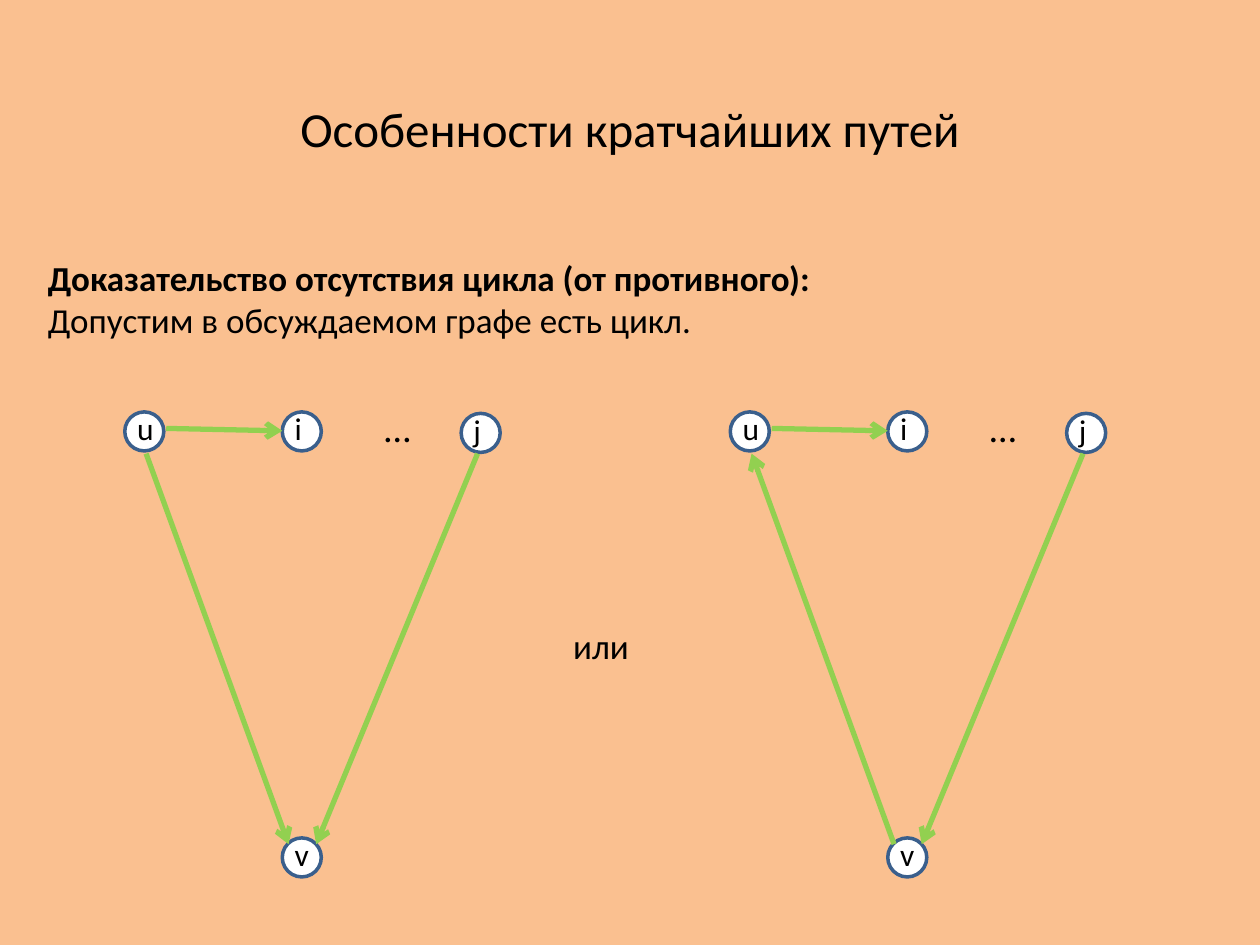
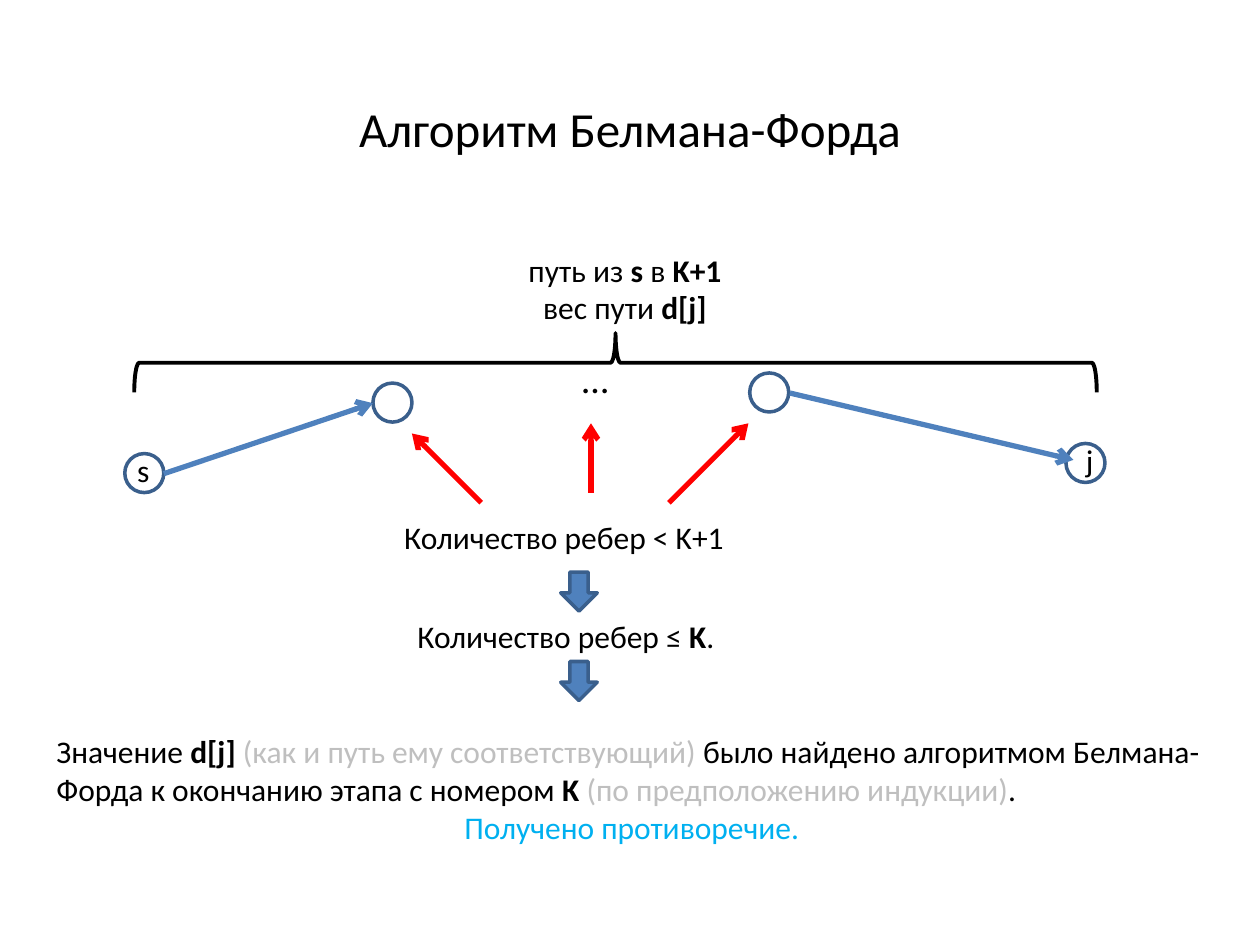
from dataclasses import dataclass
from typing import NamedTuple

import lxml.etree
import pptx
import pptx.dml.color
import pptx.enum.shapes
import pptx.enum.text
import pptx.oxml.ns
import pptx.util

Pt = pptx.util.Pt
SHAPES = pptx.enum.shapes.MSO_SHAPE
ALIGN = pptx.enum.text.PP_ALIGN
ANCHOR = pptx.enum.text.MSO_ANCHOR


@dataclass(frozen=True)
class Theme:
    font: str = "Calibri"
    ink: str = "000000"
    white: str = "FFFFFF"
    peach: str = "FAC090"
    blue: str = "4F81BD"
    outline: str = "3A5F8C"
    green: str = "92D050"
    red: str = "FF0000"
    muted: str = "BFBFBF"
    conclusion: str = "00B0F0"
    title_size: float = 28
    gap_size: float = 21.7
    lead_size: float = 20
    body_size: float = 18
    outline_width: float = 2
    brace_width: float = 2.25
    edge_width: float = 3


THEME = Theme()


class Box(NamedTuple):
    left: float
    top: float
    width: float
    height: float


class Run(NamedTuple):
    text: str
    bold: bool = False
    color: str = THEME.ink


class Line(NamedTuple):
    runs: list[Run]
    align: int = ALIGN.LEFT


class Node(NamedTuple):
    left: float
    top: float
    letter: str = ""
    letter_dx: float = 0


class Edge(NamedTuple):
    start: tuple[float, float]
    tip: tuple[float, float]

    def reversed(self) -> "Edge":
        return Edge(self.tip, self.start)


NODE_SIZE = 22.3
LETTER_RISE = 5
LETTER_HEIGHT = 29
LETTER_WIDTHS = {"u": 24.5, "v": 23, "i": 18.7, "j": 18.7, "s": 21.6}
TITLE_BOX = Box(54, 15, 612, 116)

# Left graph of the cycle slide; the right one is the same, moved across.
CYCLE_NODES = [
    Node(71.3, 235.4, "u"),
    Node(161.3, 235.4, "i"),
    Node(263.5, 236.2, "j"),
    Node(161.3, 478.8, "v"),
]
U_TO_I = Edge((95, 244.8), (161.3, 246.2))
J_TO_V = Edge((272.9, 259.2), (180.7, 482.4))
U_TO_V = Edge((83.5, 259.2), (164.9, 482.4))
CYCLE_SHIFT = 346

PATH_NODES = [
    Node(71.3, 259.2, "s"),
    Node(213.1, 218.9),
    Node(428.4, 213.1),
    Node(609.1, 253.4, "j", 4.3),
]
PATH_EDGES = [
    Edge((93.6, 270.7), (213.1, 230.4)),
    Edge((451.4, 224.6), (613.4, 262.8)),
]
POINTERS = [
    Edge((275, 287.3), (235.4, 247.7)),
    Edge((337.7, 281.5), (337.7, 241.9)),
    Edge((382.3, 287.3), (427.7, 241.9)),
]


def apply_format(target, values: dict) -> None:
    for name, value in values.items():
        setattr(target, name, value)


def rgb(color: str) -> pptx.dml.color.RGBColor:
    return pptx.dml.color.RGBColor.from_string(color)


def points(*lengths: float) -> list[int]:
    return [Pt(length) for length in lengths]


def add_text(slide, box: Box, lines: list[Line], size: float,
             anchor=ANCHOR.TOP, wrap: bool = True) -> None:
    frame = slide.shapes.add_textbox(*points(*box)).text_frame
    apply_format(frame, {"word_wrap": wrap, "vertical_anchor": anchor})
    for index, line in enumerate(lines):
        paragraph = frame.add_paragraph() if index else frame.paragraphs[0]
        paragraph.alignment = line.align
        for part in line.runs:
            run = paragraph.add_run()
            run.text = part.text
            apply_format(run.font, {"name": THEME.font, "size": Pt(size),
                                    "bold": part.bold})
            run.font.color.rgb = rgb(part.color)


def add_outlined(slide, preset, box: Box, fill: str | None,
                 line: str = THEME.outline, width: float = THEME.outline_width):
    shape = slide.shapes.add_shape(preset, *points(*box))
    shape.shadow.inherit = False
    if fill is None:
        shape.fill.background()
    else:
        shape.fill.solid()
        shape.fill.fore_color.rgb = rgb(fill)
    shape.line.color.rgb = rgb(line)
    shape.line.width = Pt(width)
    return shape


def add_node(slide, node: Node, shift: float = 0) -> None:
    left = node.left + shift
    add_outlined(slide, SHAPES.OVAL,
                 Box(left, node.top, NODE_SIZE, NODE_SIZE), THEME.white)
    if node.letter:
        box = Box(left + node.letter_dx, node.top - LETTER_RISE,
                  LETTER_WIDTHS[node.letter], LETTER_HEIGHT)
        add_text(slide, box, [Line([Run(node.letter)])], THEME.body_size,
                 wrap=False)


def add_edge(slide, edge: Edge, color: str, shift: float = 0) -> None:
    (x1, y1), (x2, y2) = edge
    connector = slide.shapes.add_connector(
        pptx.enum.shapes.MSO_CONNECTOR.STRAIGHT,
        *points(x1 + shift, y1, x2 + shift, y2))
    connector.line.color.rgb = rgb(color)
    connector.line.width = Pt(THEME.edge_width)
    qn = pptx.oxml.ns.qn
    lxml.etree.SubElement(connector.get_or_add_ln(), qn("a:tailEnd"),
                          type="arrow")
    lxml.etree.SubElement(connector.element.spPr, qn("a:effectLst"))


def add_gap(slide, left: float, top: float) -> None:
    """Draw the ellipsis standing for skipped nodes."""
    add_text(slide, Box(left, top, 51, 28), [Line([Run("…")], ALIGN.CENTER)],
             THEME.gap_size, ANCHOR.MIDDLE)


def add_titled_slide(deck, title: str, background: str):
    slide = deck.slides.add_slide(deck.slide_layouts[6])
    slide.background.fill.solid()
    slide.background.fill.fore_color.rgb = rgb(background)
    add_text(slide, TITLE_BOX, [Line([Run(title)], ALIGN.CENTER)],
             THEME.title_size, ANCHOR.MIDDLE)
    return slide


def build_cycle_slide(deck) -> None:
    slide = add_titled_slide(deck, "Особенности кратчайших путей", THEME.peach)
    add_text(slide, Box(20.2, 128.2, 680.4, 85), [
        Line([Run("Доказательство отсутствия цикла (от противного):", True)]),
        Line([Run("Допустим в обсуждаемом графе есть цикл.")]),
    ], THEME.lead_size, ANCHOR.MIDDLE)
    for shift, uv_edge in ((0, U_TO_V), (CYCLE_SHIFT, U_TO_V.reversed())):
        for node in CYCLE_NODES:
            add_node(slide, node, shift)
        for edge in (U_TO_I, J_TO_V, uv_edge):
            add_edge(slide, edge, THEME.green, shift)
        add_gap(slide, 201.6 + shift, 230.4)
    add_text(slide, Box(320.4, 349.2, 51, 39.6), [Line([Run("или")])],
             THEME.lead_size, ANCHOR.MIDDLE)


def build_algorithm_slide(deck) -> None:
    slide = add_titled_slide(deck, "Алгоритм Белмана-Форда", THEME.white)
    for node in PATH_NODES:
        add_node(slide, node)
    for edges, color in ((PATH_EDGES, THEME.blue), (POINTERS, THEME.red)):
        for edge in edges:
            add_edge(slide, edge, color)
    add_gap(slide, 314.6, 202.3)

    brace = add_outlined(slide, SHAPES.LEFT_BRACE,
                         Box(334.8, -67.7, 33.8, 550), None,
                         THEME.ink, THEME.brace_width)
    brace.rotation = 90
    add_text(slide, Box(275, 139.7, 164.2, 51), [
        Line([Run("путь из "), Run("s ", True), Run("в "), Run("K+1", True)],
             ALIGN.CENTER),
        Line([Run("вес пути "), Run("d[j]", True)], ALIGN.CENTER),
    ], THEME.body_size)

    add_text(slide, Box(223.9, 292.3, 203.8, 29),
             [Line([Run("Количество ребер < K+1")])],
             THEME.body_size, wrap=False)
    add_text(slide, Box(133.2, 349.2, 380.2, 29),
             [Line([Run("Количество ребер ≤ "), Run("K", True), Run(".")],
                   ALIGN.CENTER)], THEME.body_size)
    for arrow_top in (326.9, 378):
        add_outlined(slide, SHAPES.DOWN_ARROW,
                     Box(320.4, arrow_top, 20.9, 22.3), THEME.blue)

    add_text(slide, Box(25.2, 414.7, 671.8, 72.7), [
        Line([
            Run("Значение "),
            Run("d[j] ", True),
            Run("(как и путь ему соответствующий) ", color=THEME.muted),
            Run("было найдено алгоритмом Белмана-Форда к окончанию этапа "
                "с номером "),
            Run("K ", True),
            Run("(по предположению индукции)", color=THEME.muted),
            Run("."),
        ]),
        Line([Run("Получено противоречие.", color=THEME.conclusion)],
             ALIGN.CENTER),
    ], THEME.body_size)


def main() -> None:
    deck = pptx.Presentation()
    apply_format(deck, {"slide_width": Pt(720), "slide_height": Pt(540)})
    build_cycle_slide(deck)
    build_algorithm_slide(deck)
    deck.save("out.pptx")


if __name__ == "__main__":
    main()
